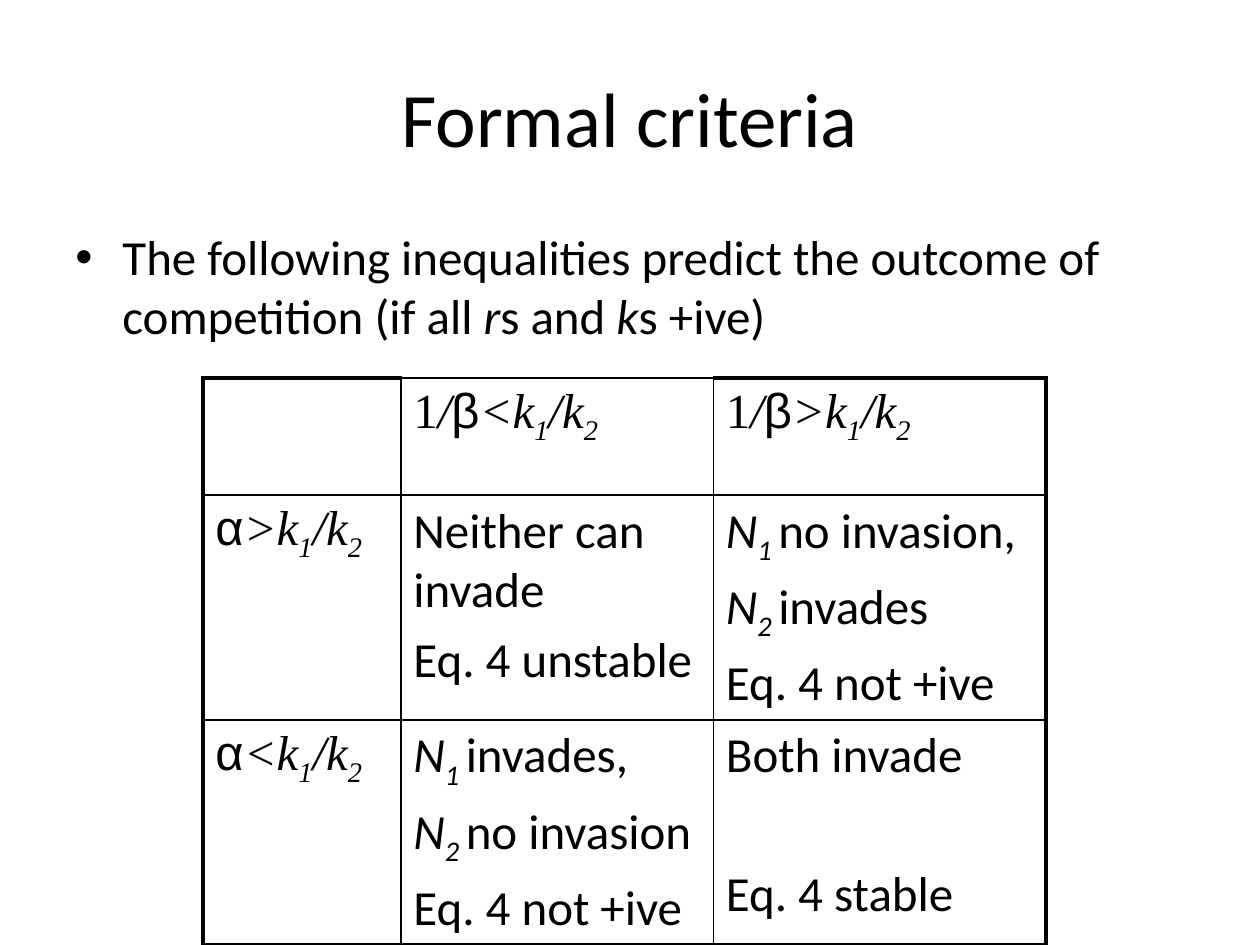
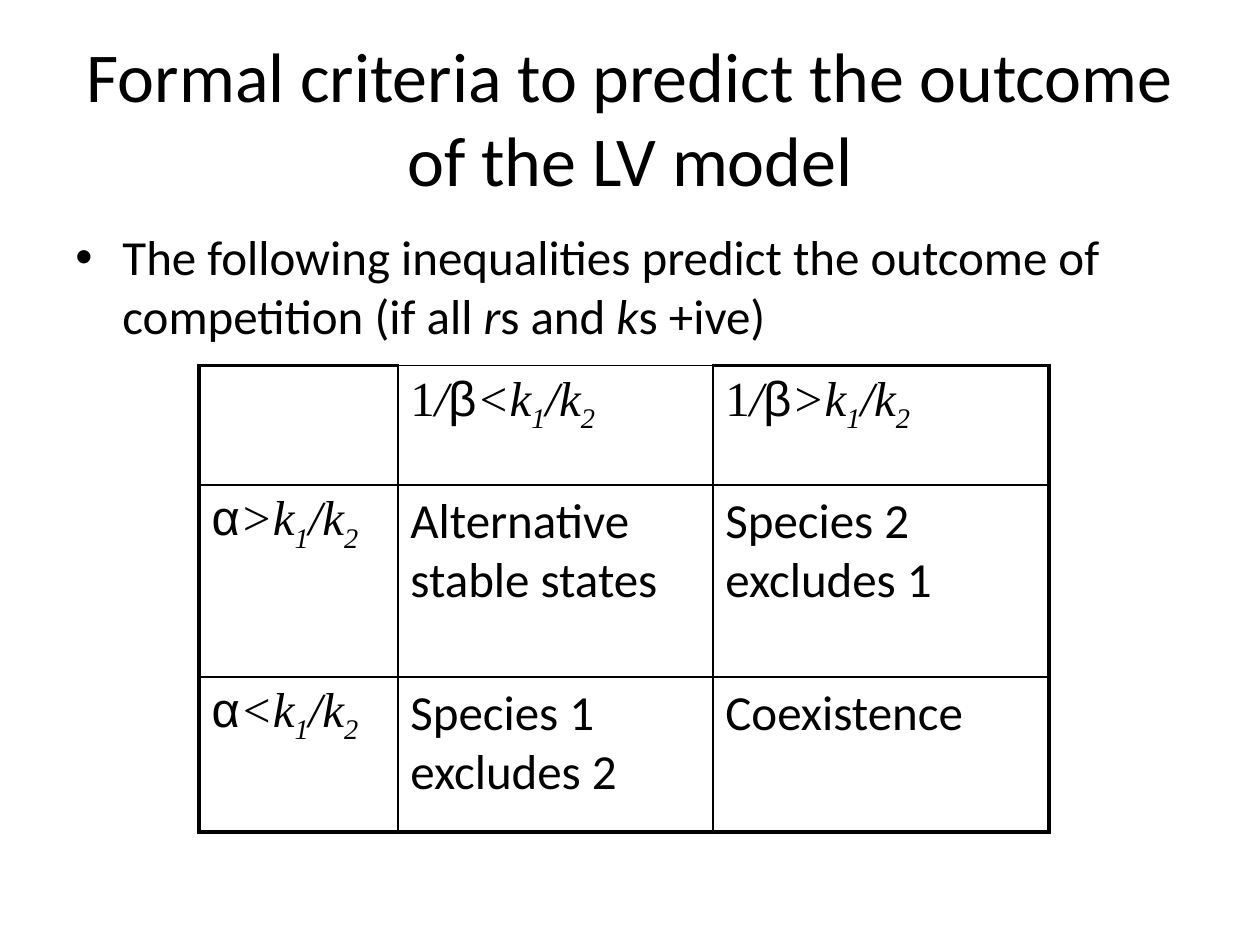
from dataclasses import dataclass

from lxml import etree
from pptx import Presentation
from pptx import util as u
from pptx.dml.color import RGBColor
from pptx.enum import text
from pptx.oxml.ns import qn


@dataclass(frozen=True)
class Theme:
    ink: str = "000000"
    paper: str = "FFFFFF"
    sans: str = "Calibri"
    serif: str = "Times New Roman"
    greek: str = "Arial"
    title: int = 44
    long_title: int = 40
    body: int = 28
    gap: float = 5.6        # space between paragraphs, 20% of the body size
    wide_gap: float = 45    # space that leaves one line free
    thin: float = 1
    thick: float = 2.25


THEME = Theme()


def add_run(p, content, font=THEME.sans, size=THEME.body, italic=False, sub=False):
    """Append one formatted run to a paragraph."""
    r = p.add_run()
    r.text = content
    r.font.name, r.font.size, r.font.italic = font, u.Pt(size), italic
    r.font.color.rgb = RGBColor.from_string(THEME.ink)
    if sub:
        r._r.get_or_add_rPr().set("baseline", "-25000")


# Each paragraph is a list of (text, format) pairs
def plain(content):
    return [(content, {})]


def species(number, outcome):
    return [("N", dict(italic=True)), (f"{number} ", dict(italic=True, sub=True)),
            (outcome, {})]


def against_ratio(greek, sign):
    maths = dict(font=THEME.serif, italic=True)
    low = dict(maths, sub=True)
    return [(greek, dict(font=THEME.greek)), (f"{sign}k", maths), ("1", low),
            ("/k", maths), ("2", low)]


def beta_test(sign):
    return [("1", dict(font=THEME.serif)), ("/", dict(font=THEME.serif, italic=True)),
            *against_ratio("β", sign)]


class Deck:
    def __init__(self, theme):
        self.theme = theme
        self.prs = Presentation()
        self.prs.slide_width, self.prs.slide_height = u.Cm(25.4), u.Cm(19.05)
        self.s = None

    def new_slide(self):
        self.s = self.prs.slides.add_slide(self.prs.slide_layouts[6])

    def text_box(self, left, top, width, height):
        sp = self.s.shapes.add_textbox(*map(u.Cm, (left, top, width, height)))
        sp.text_frame.word_wrap = True
        return sp.text_frame

    def title(self, content, size):
        tf = self.text_box(1.27, 0.76, 22.86, 3.18)
        tf.vertical_anchor = text.MSO_ANCHOR.MIDDLE
        p = tf.paragraphs[0]
        p.alignment = text.PP_ALIGN.CENTER
        add_run(p, content, size=size)

    def bullet(self, runs, width):
        p = self.text_box(1.27, 4.45, width, 12.57).paragraphs[0]
        pPr = p._p.get_or_add_pPr()
        indent = u.Cm(0.95)
        pPr.set("marL", str(indent))
        pPr.set("indent", str(-indent))
        etree.SubElement(pPr, qn("a:buFont")).set("typeface", self.theme.greek)
        etree.SubElement(pPr, qn("a:buChar")).set("char", "•")
        for content, style in runs:
            add_run(p, content, **style)

    def cell_borders(self, cell, widths):
        tcPr = cell._tc.get_or_add_tcPr()
        for i, (side, points) in enumerate(widths.items()):
            ln = etree.Element(qn(f"a:ln{side}"), w=str(u.Pt(points)))
            fill = etree.SubElement(ln, qn("a:solidFill"))
            etree.SubElement(fill, qn("a:srgbClr")).set("val", self.theme.ink)
            tcPr.insert(i, ln)

    def table(self, left, top, columns, heights, rows, gaps):
        t = self.theme
        table = self.s.shapes.add_table(
            len(heights), len(columns), u.Cm(left), u.Cm(top),
            u.Cm(sum(columns)), u.Cm(sum(heights))).table
        table.first_row = table.horz_banding = False
        for column, width in zip(table.columns, columns):
            column.width = u.Cm(width)
        for row, height in zip(table.rows, heights):
            row.height = u.Cm(height)

        last_row, last_col = len(heights) - 1, len(columns) - 1
        for i, row in enumerate(rows):
            for j, paragraphs in enumerate(row):
                cell = table.cell(i, j)
                cell.fill.solid()
                cell.fill.fore_color.rgb = RGBColor.from_string(t.paper)
                # Thick outer frame, except above the middle column
                outer = dict(L=j == 0, R=j == last_col,
                             T=i == 0 and j in (0, last_col), B=i == last_row)
                self.cell_borders(cell, {side: t.thick if edge else t.thin
                                         for side, edge in outer.items()})
                tf = cell.text_frame
                for k, runs in enumerate(paragraphs):
                    p = tf.add_paragraph() if k else tf.paragraphs[0]
                    if k:
                        p.space_before = u.Pt(gaps.get((i, j), t.gap))
                    for content, style in runs:
                        add_run(p, content, **style)

    def criteria(self, title, title_size, body_width, outcomes, gaps=None, **grid):
        """One slide: title, shared statement and a table of outcomes."""
        self.new_slide()
        self.title(title, title_size)
        self.bullet(STATEMENT, body_width)
        rows = [[[], [beta_test("<")], [beta_test(">")]]]
        for sign, pair in zip("><", outcomes):
            rows.append([[against_ratio("α", sign)], *pair])
        self.table(rows=rows, gaps=gaps or {}, **grid)


STATEMENT = [
    ("The following inequalities predict the outcome of competition (if all ", {}),
    ("r", dict(italic=True)), ("s and ", {}),
    ("k", dict(italic=True)), ("s +ive)", {}),
]


def main():
    deck = Deck(THEME)

    # Slide 1: invasion criteria
    deck.criteria(
        "Formal criteria", THEME.title, 23.04,
        [[[plain("Neither can invade"), plain("Eq. 4 unstable")],
          [species(1, "no invasion,"), species(2, "invades"), plain("Eq. 4 not +ive")]],
         [[species(1, "invades,"), species(2, "no invasion"), plain("Eq. 4 not +ive")],
          [plain("Both invade"), plain("Eq. 4 stable")]]],
        gaps={(2, 2): THEME.wide_gap},
        left=4.09, top=7.62, columns=(3.99, 6.3, 6.71), heights=(2.36, 4.29, 4.29))

    # Slide 2: what the criteria mean for the species
    deck.criteria(
        "Formal criteria to predict the outcome of the LV model",
        THEME.long_title, 21.64,
        [[[plain("Alternative stable states")], [plain("Species 2 excludes 1")]],
         [[plain("Species 1 excludes 2")], [plain("Coexistence")]]],
        left=4.01, top=7.37, columns=(4.01, 6.35, 6.78), heights=(2.41, 3.87, 3.12))

    deck.prs.save("out.pptx")


if __name__ == "__main__":
    main()
